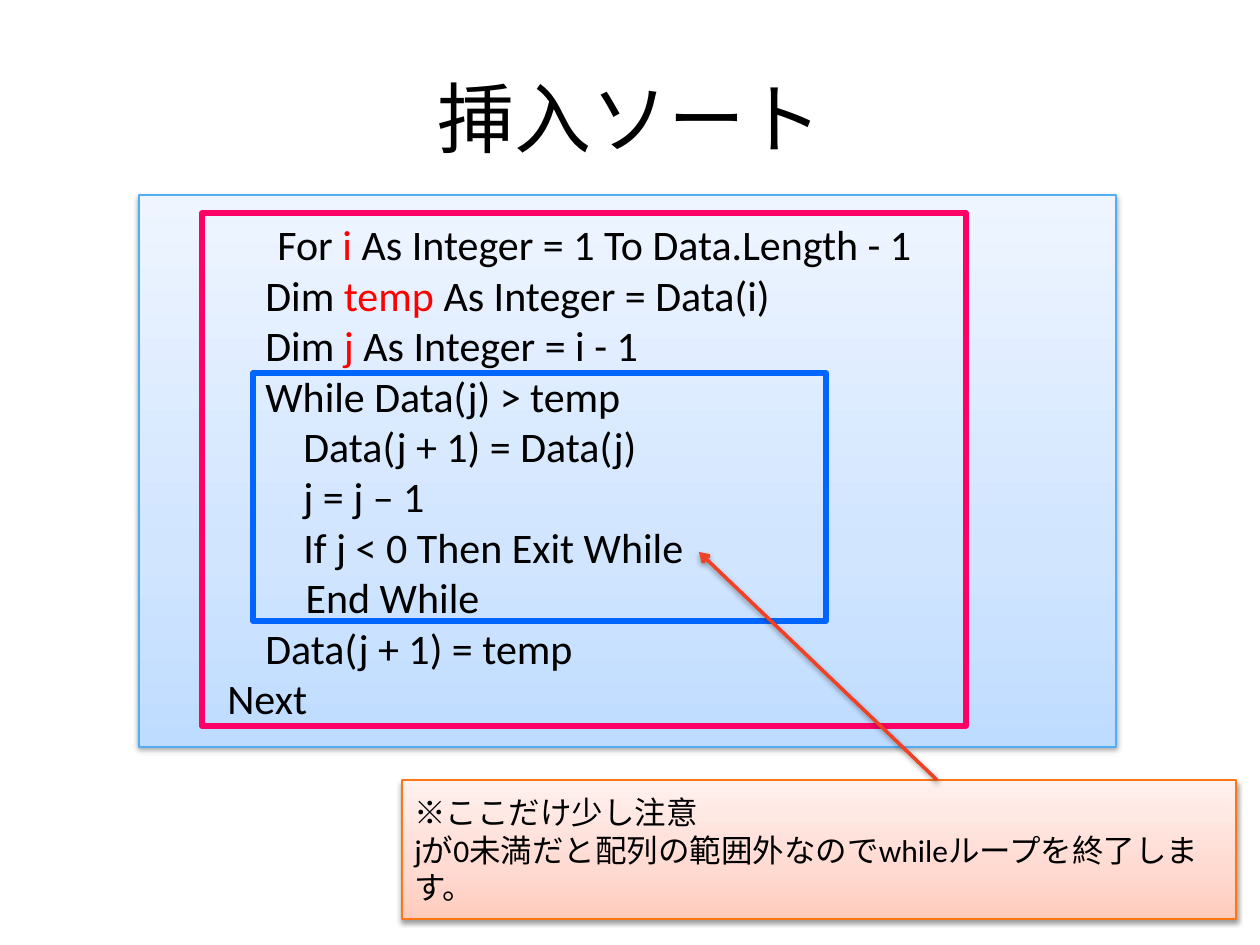
from dataclasses import dataclass

from pptx import Presentation
from pptx.dml.color import RGBColor
from pptx.enum.shapes import MSO_CONNECTOR, MSO_SHAPE
from pptx.enum.text import MSO_ANCHOR, PP_ALIGN
from pptx.oxml import parse_xml
from pptx.oxml.ns import nsdecls
from pptx.util import Emu, Pt

EMU_PER_PX = 914400 / 126


@dataclass(frozen=True)
class Theme:
    font: str = "Calibri"
    title_size: int = 44
    code_size: int = 24
    note_size: int = 18
    text: str = "000000"
    variable: str = "FF0000"
    panel_stops: tuple = ("BEDCFF", "D1E5FF", "EEF5FF")
    panel_line: str = "52ADF2"
    for_frame: str = "FF0066"
    while_frame: str = "0066FF"
    note_stops: tuple = ("FFCBBD", "FFDAD1", "FFF1EE")
    note_line: str = "FF7715"
    arrow: str = "F14124"


THEME = Theme()

# Each line is a list of pieces; a one-item tuple is a highlighted variable.
CODE = [
    ["   For ", ("i",), " As Integer = 1 To Data.Length - 1"],
    ["            Dim ", ("temp",), " As Integer = Data(i)"],
    ["            Dim ", ("j",), " As Integer = i - 1"],
    ["            While Data(j) > temp"],
    ["                Data(j + 1) = Data(j)"],
    ["                j = j – 1"],
    ["                If j < 0 Then Exit While"],
    ["   　　　   End While".lstrip(" ")],
    ["            Data(j + 1) = temp"],
    ["        Next"],
]
CODE[0][0] = "　　　For "
NOTE = [
    ["※ここだけ少し注意"],
    ["jが0未満だと配列の範囲外なのでwhileループを終了します。"],
]


def px(*lengths):
    return [Emu(round(length * EMU_PER_PX)) for length in lengths]


def write_lines(text_frame, lines, size, align=PP_ALIGN.LEFT):
    text_frame.word_wrap = True
    text_frame.vertical_anchor = MSO_ANCHOR.MIDDLE
    for index, pieces in enumerate(lines):
        paragraph = text_frame.paragraphs[0] if index == 0 else text_frame.add_paragraph()
        paragraph.alignment = align
        for piece in pieces:
            highlighted = isinstance(piece, tuple)
            run = paragraph.add_run()
            run.text = piece[0] if highlighted else piece
            run.font.name = THEME.font
            run.font.size = Pt(size)
            color = THEME.variable if highlighted else THEME.text
            run.font.color.rgb = RGBColor.from_string(color)


def set_line(shape, color, width):
    shape.line.color.rgb = RGBColor.from_string(color)
    shape.line.width = Pt(width)


def add_soft_shadow(shape):
    shape._element.spPr.append(parse_xml(
        f'<a:effectLst {nsdecls("a")}>'
        '<a:outerShdw blurRad="40000" dist="20000" dir="5400000" rotWithShape="0">'
        '<a:srgbClr val="000000"><a:alpha val="38000"/></a:srgbClr>'
        '</a:outerShdw></a:effectLst>'))


def add_gradient_box(slide, box, colors, line_color):
    shape = slide.shapes.add_shape(MSO_SHAPE.RECTANGLE, *px(*box))
    stops = "".join(
        f'<a:gs pos="{position}"><a:srgbClr val="{color}"/></a:gs>'
        for position, color in zip((0, 35000, 100000), colors))
    shape._element.spPr.append(parse_xml(
        f'<a:gradFill {nsdecls("a")} rotWithShape="1"><a:gsLst>{stops}</a:gsLst>'
        '<a:lin ang="16200000" scaled="0"/></a:gradFill>'))
    set_line(shape, line_color, 0.75)
    add_soft_shadow(shape)
    return shape


def add_frame(slide, box, color):
    frame = slide.shapes.add_shape(MSO_SHAPE.RECTANGLE, *px(*box))
    frame.shadow.inherit = False
    frame.fill.background()
    set_line(frame, color, 3)


def add_title(slide, box):
    title = slide.shapes.add_textbox(*px(*box))
    write_lines(title.text_frame, [["挿入ソート"]], THEME.title_size, PP_ALIGN.CENTER)


def add_code_panel(slide, box):
    """Code listing with one frame round each loop."""
    left, top, _, _ = box
    panel = add_gradient_box(slide, box, THEME.panel_stops, THEME.panel_line)
    write_lines(panel.text_frame, CODE, THEME.code_size)
    add_frame(slide, (left + 63, top + 18, 764, 513), THEME.for_frame)
    add_frame(slide, (left + 114, top + 178, 573, 248), THEME.while_frame)


def add_note(slide, box):
    """Remark with an arrow from its top edge up to the code line."""
    left, top, _, _ = box
    note = add_gradient_box(slide, box, THEME.note_stops, THEME.note_line)
    write_lines(note.text_frame, NOTE, THEME.note_size)
    arrow = slide.shapes.add_connector(
        MSO_CONNECTOR.STRAIGHT, *px(left + 535, top, left + 297, top - 228))
    set_line(arrow, THEME.arrow, 2)
    arrow.line._get_or_add_ln().append(
        parse_xml(f'<a:tailEnd {nsdecls("a")} type="arrow"/>'))
    add_soft_shadow(arrow)


def main():
    presentation = Presentation()
    presentation.slide_width, presentation.slide_height = px(1260, 945)
    slide = presentation.slides.add_slide(presentation.slide_layouts[6])
    add_title(slide, (63, 38, 1134, 158))
    add_code_panel(slide, (139, 195, 977, 552))
    add_note(slide, (402, 780, 834, 139))
    presentation.save("out.pptx")


if __name__ == "__main__":
    main()
